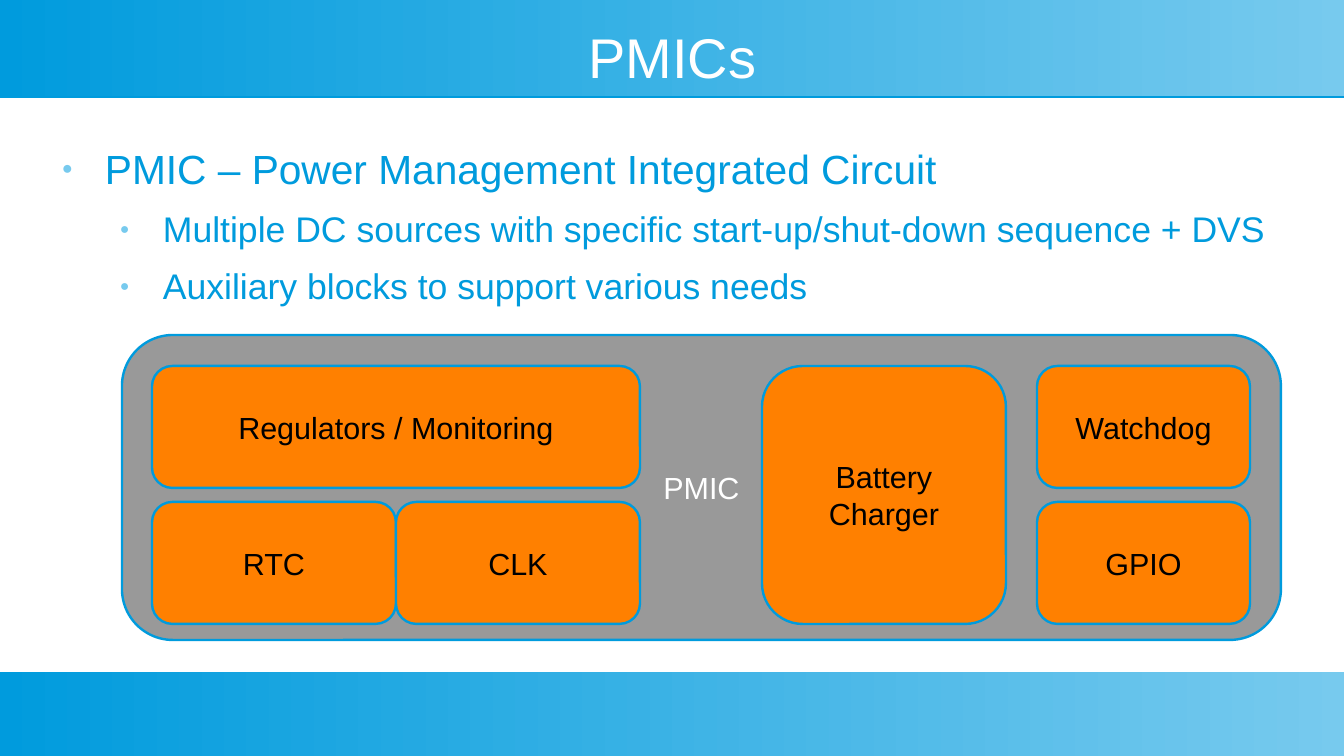
"""Build the PMICs slide: title, bullets and a block diagram."""
from lxml import etree
from pptx import Presentation
from pptx.dml.color import RGBColor
from pptx.enum.shapes import MSO_SHAPE as Shape
from pptx.enum.text import MSO_ANCHOR as Anchor, PP_ALIGN as Align
from pptx.oxml import parse_xml
from pptx.oxml.ns import nsdecls, qn
from pptx.util import Emu, Pt

WIDTH, HEIGHT = 1344, 756
BLUE, SKY, GRAY, ORANGE = "009BDD", "77CAEE", "999999", "FF8000"
WHITE, BLACK = "FFFFFF", "000000"
FONT = "Arial"

TITLE = "PMICs"
BULLETS = [
    (0, "PMIC – Power Management Integrated Circuit"),
    (1, "Multiple DC sources with specific start-up/shut-down sequence + DVS"),
    (1, "Auxiliary blocks to support various needs"),
]
LEVELS = [
    {"size": 24, "before": 10.6, "margin": 57},
    {"size": 21, "before": 8.5, "margin": 115},
]
HANGING = 43
BANDS = [(0, 96), (672, 84)]

CHIP = ("PMIC", 122, 335, 1159, 305)
ROW_TOPS, ROW_HEIGHT = (366, 502), 122
BLOCKS = [
    ("Regulators / Monitoring", 152, 488, 0, 0),
    ("RTC", 152, 244, 1, 1),
    ("CLK", 396, 244, 1, 1),
    ("Battery\nCharger", 762, 244, 0, 1),
    ("GPIO", 1037, 213, 1, 1),
    ("Watchdog", 1037, 213, 0, 0),
]


def px(length):
    return Emu(round(length * 914400 / 122))


def color(value):
    return RGBColor.from_string(value)


def write(paragraph, text, size=18, fill=BLACK, align=Align.CENTER):
    paragraph.alignment = align
    run = paragraph.add_run()
    run.text = text
    run.font.name = FONT
    run.font.size = Pt(size)
    run.font.color.rgb = color(fill)


def add_text_box(slide, left, top, width, height, anchor):
    box = slide.shapes.add_textbox(px(left), px(top), px(width), px(height))
    frame = box.text_frame
    frame.word_wrap = True
    frame.vertical_anchor = anchor
    frame.margin_left = frame.margin_right = 0
    frame.margin_top = frame.margin_bottom = 0
    return frame


def add_band(slide, top, height):
    band = slide.shapes.add_shape(Shape.RECTANGLE, 0, px(top), px(WIDTH), px(height))
    band.line.fill.background()
    band.fill.gradient()
    band.fill.gradient_angle = 0
    for stop, value in zip(band.fill.gradient_stops, (BLUE, SKY)):
        stop.color.rgb = color(value)
    band._element.spPr.append(parse_xml(
        f'<a:effectLst {nsdecls("a")}><a:outerShdw dist="11430" dir="5400000">'
        f'<a:srgbClr val="{BLUE}"/></a:outerShdw></a:effectLst>'))


def add_block(slide, text, left, top, width, height, fill=ORANGE, text_fill=BLACK):
    block = slide.shapes.add_shape(
        Shape.ROUNDED_RECTANGLE, px(left), px(top), px(width), px(height))
    block.shadow.inherit = False
    block.adjustments[0] = 0.167
    block.fill.solid()
    block.fill.fore_color.rgb = color(fill)
    block.line.color.rgb = color(BLUE)
    block.line.width = Pt(1.42)
    frame = block.text_frame
    frame.word_wrap = False
    frame.vertical_anchor = Anchor.MIDDLE
    for index, line in enumerate(text.split("\n")):
        paragraph = frame.add_paragraph() if index else frame.paragraphs[0]
        write(paragraph, line, fill=text_fill)


def add_bullet(paragraph, level, text):
    style = LEVELS[level]
    paragraph.level = level
    paragraph.space_before = Pt(style["before"])
    write(paragraph, text, size=style["size"], fill=BLUE, align=Align.LEFT)
    properties = paragraph._p.get_or_add_pPr()
    properties.set("marL", str(px(style["margin"])))
    properties.set("indent", str(-px(HANGING)))
    bullet_color = etree.SubElement(properties, qn("a:buClr"))
    etree.SubElement(bullet_color, qn("a:srgbClr"), val=SKY)
    etree.SubElement(properties, qn("a:buSzPct"), val="45000")
    etree.SubElement(properties, qn("a:buFont"), typeface=FONT)
    etree.SubElement(properties, qn("a:buChar"), char="●")


def main():
    presentation = Presentation()
    presentation.slide_width, presentation.slide_height = px(WIDTH), px(HEIGHT)
    slide = presentation.slides.add_slide(presentation.slide_layouts[6])
    for top, height in BANDS:
        add_band(slide, top, height)

    title = add_text_box(slide, 48, 25, 1249, 63, Anchor.MIDDLE)
    write(title.paragraphs[0], TITLE, size=33, fill=WHITE)

    body = add_text_box(slide, 48, 144, 1249, 481, Anchor.TOP)
    for index, (level, text) in enumerate(BULLETS):
        paragraph = body.add_paragraph() if index else body.paragraphs[0]
        add_bullet(paragraph, level, text)

    add_block(slide, *CHIP, fill=GRAY, text_fill=WHITE)
    for text, left, width, first, last in BLOCKS:
        top = ROW_TOPS[first]
        add_block(slide, text, left, top, width, ROW_TOPS[last] + ROW_HEIGHT - top)
    presentation.save("out.pptx")


if __name__ == "__main__":
    main()
